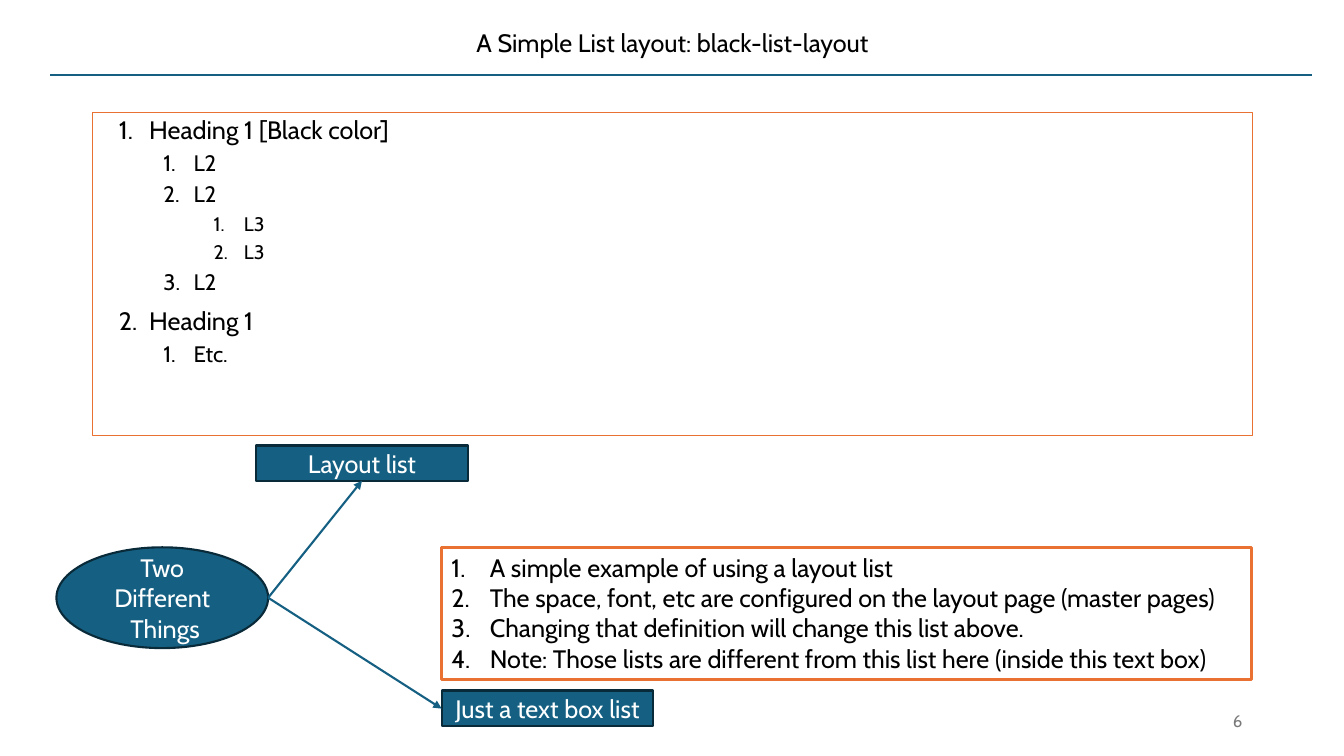
from lxml import etree
from pptx import Presentation
from pptx.dml.color import RGBColor
from pptx.enum.shapes import MSO_CONNECTOR, MSO_SHAPE
from pptx.enum.text import MSO_ANCHOR, PP_ALIGN
from pptx.oxml.ns import qn
from pptx.util import Pt

PX = 9144  # 100 px to the inch
FONT = "Cabin"
BLACK, WHITE, GRAY = "000000", "FFFFFF", "797979"
TEAL, DARK_TEAL, ORANGE = "156082", "092A39", "E97132"
LEFT, CENTER, RIGHT = PP_ALIGN.LEFT, PP_ALIGN.CENTER, PP_ALIGN.RIGHT
TOP, MIDDLE = MSO_ANCHOR.TOP, MSO_ANCHOR.MIDDLE
RECTANGLE, OVAL = MSO_SHAPE.RECTANGLE, MSO_SHAPE.OVAL
STRAIGHT = MSO_CONNECTOR.STRAIGHT


def color(value):
    return RGBColor.from_string(value)


def write(shape, lines, text_color, align, anchor, size=18):
    """Put one paragraph per line into the shape and return the paragraphs."""
    frame = shape.text_frame
    frame.text = "\n".join(lines)
    frame.word_wrap = True
    frame.vertical_anchor = anchor
    for paragraph in frame.paragraphs:
        paragraph.alignment = align
        for run in paragraph.runs:
            run.font.name = FONT
            run.font.size = Pt(size)
            run.font.color.rgb = color(text_color)
    return frame.paragraphs


presentation = Presentation()
presentation.slide_width = 1333 * PX
presentation.slide_height = 750 * PX
slide = presentation.slides.add_slide(presentation.slide_layouts[6])
shapes = slide.shapes

# Title and page number
title = shapes.add_textbox(92 * PX, 21 * PX, 1150 * PX, 46 * PX)
title_lines = write(title, ["A Simple List layout: black-list-layout"], BLACK, CENTER, MIDDLE)
title_lines[0].line_spacing = 0.9
page_number = shapes.add_textbox(942 * PX, 695 * PX, 300 * PX, 40 * PX)
write(page_number, ["6"], GRAY, RIGHT, MIDDLE, 12)

# Layout list: margin px, text size and space before for each level
LEVELS = [(56, 18, 10), (100, 16, 5), (150, 14, 5)]
layout_items = [
    (0, "Heading 1 [Black color]"),
    (1, "L2"),
    (1, "L2"),
    (2, "L3"),
    (2, "L3"),
    (1, "L2"),
    (0, "Heading 1"),
    (1, "Etc."),
]
layout_list = shapes.add_textbox(92 * PX, 112 * PX, 1150 * PX, 320 * PX)
layout_list.line.color.rgb = color(ORANGE)
layout_list.line.width = Pt(0.75)
layout_list.text_frame.margin_left = 0
layout_lines = write(layout_list, [text for _, text in layout_items], BLACK, LEFT, TOP)
numbered = []
for paragraph, (level, _) in zip(layout_lines, layout_items):
    margin, size, space_before = LEVELS[level]
    paragraph.level = level
    paragraph.line_spacing = 0.9
    paragraph.space_before = Pt(space_before)
    paragraph.runs[0].font.size = Pt(size)
    numbered.append((paragraph, margin, 30))

# Text box list
box_list = shapes.add_textbox(438 * PX, 543 * PX, 803 * PX, 131 * PX)
box_list.line.color.rgb = color(ORANGE)
box_list.line.width = Pt(2.25)
box_lines = write(box_list, [
    "A simple example of using a layout list",
    "The space, font, etc are configured on the layout page (master pages)",
    "Changing that definition will change this list above.",
    "Note: Those lists are different from this list here (inside this text box)",
], BLACK, LEFT, TOP)
numbered += [(paragraph, 38, 38) for paragraph in box_lines]

for paragraph, margin, hanging in numbered:
    properties = paragraph._p.get_or_add_pPr()
    properties.set("marL", str(margin * PX))
    properties.set("indent", str(-hanging * PX))
    bullet_font = etree.SubElement(properties, qn("a:buFont"))
    bullet_font.set("typeface", "+mj-lt")
    etree.SubElement(properties, qn("a:buAutoNum")).set("type", "arabicPeriod")

# Labels
labels = [
    (RECTANGLE, 254, 442, 35, ["Layout list"]),
    (RECTANGLE, 438, 685, 35, ["Just a text box list"]),
    (OVAL, 56, 543, 100, ["Two", "Different", " Things"]),
]
for kind, left, top, height, lines in labels:
    label = shapes.add_shape(kind, left * PX, top * PX, 210 * PX, height * PX)
    label.shadow.inherit = False
    label.fill.solid()
    label.fill.fore_color.rgb = color(TEAL)
    label.line.color.rgb = color(DARK_TEAL)
    label.line.width = Pt(1.5)
    write(label, lines, WHITE, CENTER, MIDDLE)

# Title rule and arrows from the oval to the labels
connections = [
    (50, 74, 1301, 74, False),
    (266, 593, 359, 477, True),
    (266, 593, 438, 703, True),
]
for x1, y1, x2, y2, has_arrow in connections:
    connector = shapes.add_connector(STRAIGHT, x1 * PX, y1 * PX, x2 * PX, y2 * PX)
    connector.line.color.rgb = color(TEAL)
    connector.line.width = Pt(1.5)
    if has_arrow:
        line_properties = connector.line._get_or_add_ln()
        etree.SubElement(line_properties, qn("a:tailEnd")).set("type", "triangle")
    etree.SubElement(connector._element.spPr, qn("a:effectLst"))

presentation.save("out.pptx")
